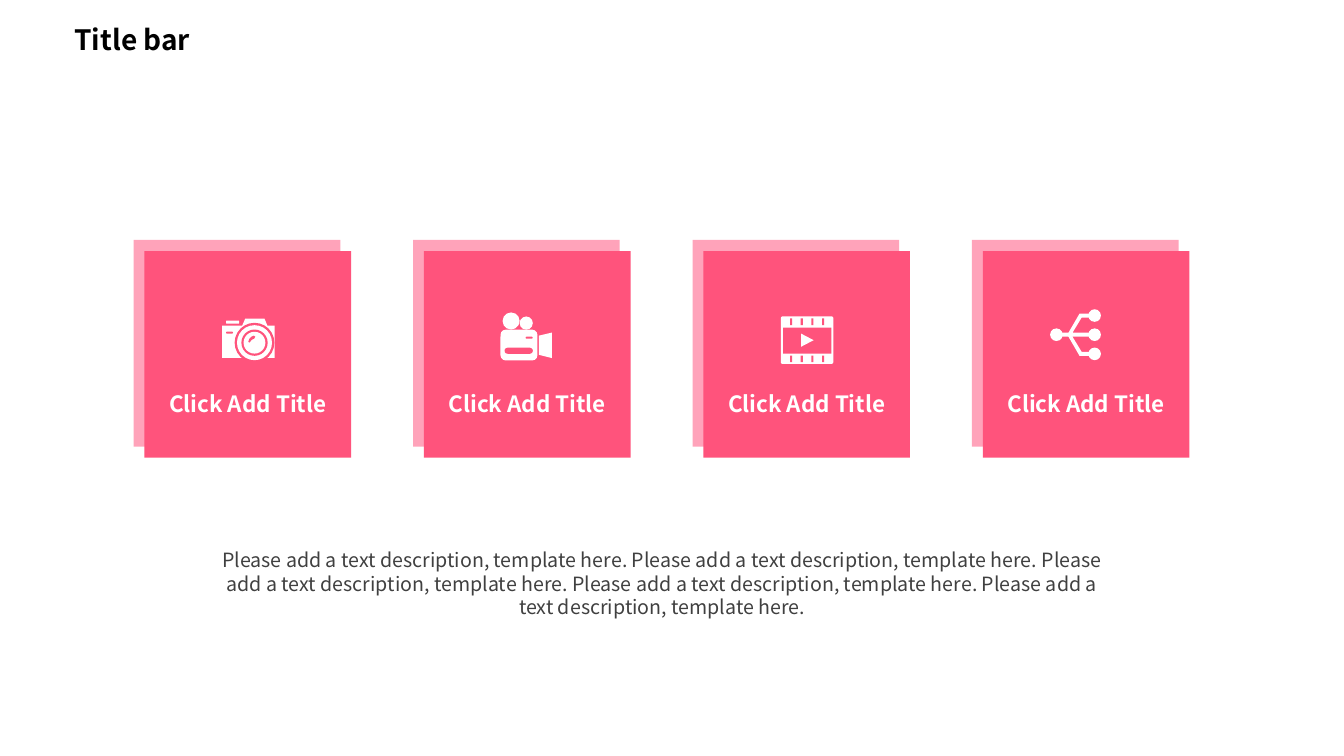
import pptx
import pptx.util
import pptx.dml.color
import pptx.enum.shapes
import pptx.enum.text

Pt = pptx.util.Pt
KIND = pptx.enum.shapes.MSO_SHAPE
ALIGN = pptx.enum.text.PP_ALIGN
ANCHOR = pptx.enum.text.MSO_ANCHOR

FONT = "Noto Sans CJK SC"
WHITE, PINK, PALE = "FFFFFF", "FF537C", "FFA3BA"
SIDE, TOP, LEFT, PITCH = 147.6, 179.3, 103.2, 199.6
NOTE = " ".join(["Please add a text description, template here."] * 5)


def color(code):
    return pptx.dml.color.RGBColor.from_string(code)


def paint(shape, code):
    shape.shadow.inherit = False
    shape.fill.solid()
    shape.fill.fore_color.rgb = color(code)
    shape.line.fill.background()


def add_form(slide, kind, x, y, wide, high, code, curve=None):
    """Add a preset shape; curve is the corner radius ratio."""
    form = slide.shapes.add_shape(kind, Pt(x), Pt(y), Pt(wide), Pt(high))
    paint(form, code)
    if curve is not None:
        form.adjustments[0] = curve


def add_disc(slide, x, y, radius, code):
    """Add a circle around the centre x, y."""
    add_form(slide, KIND.OVAL, x - radius, y - radius, 2 * radius, 2 * radius, code)


def add_poly(slide, x, y, points, code):
    """Add a closed outline with its points measured from x, y."""
    spots = [(Pt(x + across), Pt(y + down)) for across, down in points]
    maker = slide.shapes.build_freeform(*spots[0], scale=1.0)
    maker.add_line_segments(spots[1:], close=True)
    paint(maker.convert_to_shape(), code)


def add_text(slide, x, y, wide, high, text, size, code, bold=False,
             align=ALIGN.CENTER, anchor=ANCHOR.TOP):
    frame = slide.shapes.add_textbox(Pt(x), Pt(y), Pt(wide), Pt(high)).text_frame
    frame.word_wrap = True
    frame.vertical_anchor = anchor
    frame.text = text
    line = frame.paragraphs[0]
    line.alignment = align
    line.line_spacing = Pt(1.2 * size)
    font = line.runs[0].font
    font.name, font.size, font.bold = FONT, Pt(size), bold
    font.color.rgb = color(code)


def draw_photo(slide, x, y):
    """Draw a still camera on the card at x, y."""
    add_poly(slide, x, y, [
        (55.4, 53.3), (69.8, 53.3), (72, 48.2), (85.7, 48.2),
        (87.8, 53.3), (92.9, 53.3), (92.9, 76.3), (55.4, 76.3)], WHITE)
    add_form(slide, KIND.ROUNDED_RECTANGLE, x + 58.3, y + 49.7, 9.4, 2.2, WHITE, 0.3)
    add_form(slide, KIND.ROUNDED_RECTANGLE, x + 58.3, y + 57.6, 5, 1.4, PINK, 0.5)
    for radius, code in [(14.2, PINK), (12.5, WHITE), (9.4, PINK), (7.8, WHITE)]:
        add_disc(slide, x + 78.6, y + 65.5, radius, code)
    add_poly(slide, x, y, [
        (74.2, 64.8), (75, 62.6), (76.4, 61.2), (78.2, 60.5), (79.2, 61.2),
        (78.5, 62.6), (76.7, 63.4), (75.6, 64.8), (74.9, 65.5)], PINK)


def draw_video(slide, x, y):
    """Draw a film camera on the card at x, y."""
    for left, top, wide, high, code, curve in [
            (54.7, 56.2, 26.4, 22, WHITE, 0.17),
            (57.6, 69.1, 20.2, 4.3, PINK, 0.5),
            (72.7, 61.2, 5, 1.4, PINK, 0.5)]:
        add_form(slide, KIND.ROUNDED_RECTANGLE, x + left, y + top, wide, high, code, curve)
    add_disc(slide, x + 62.3, y + 50, 6.1, WHITE)
    add_disc(slide, x + 73.1, y + 51.5, 4.7, WHITE)
    add_poly(slide, x, y, [(82.1, 60.5), (91.4, 58.3), (91.4, 76.5), (82.1, 74.2)], WHITE)


def draw_film(slide, x, y):
    """Draw a film strip with a play mark on the card at x, y."""
    add_form(slide, KIND.ROUNDED_RECTANGLE, x + 55.4, y + 46.8, 37.4, 33.8, WHITE, 0.03)
    add_form(slide, KIND.RECTANGLE, x + 56.9, y + 54.7, 34.5, 18.7, PINK)
    for step in range(4):
        for top in (48.2, 74.7):
            add_form(slide, KIND.RECTANGLE, x + 61.9 + 7.65 * step, y + top, 1.5, 4.7, PINK)
    add_poly(slide, x, y, [(69.8, 59), (78.8, 63.7), (69.8, 68.4)], WHITE)


def draw_tree(slide, x, y):
    """Draw a node that branches into three on the card at x, y."""
    half = [(52.6, 1.45), (61.2, 1.45), (69.1, 15.1), (79.9, 15.1),
            (79.9, 12.2), (70.6, 12.2), (64.1, 1.45), (79.9, 1.45)]
    lower = [(across, 59.8 + down) for across, down in half]
    upper = [(across, 59.8 - down) for across, down in reversed(half)]
    add_poly(slide, x, y, lower + upper, WHITE)
    for across, down in [(52.6, 0), (79.9, -13.7), (79.9, 0), (79.9, 13.7)]:
        add_disc(slide, x + across, y + 59.8 + down, 4.5, WHITE)


def add_card(slide, x, draw):
    add_form(slide, KIND.RECTANGLE, x - 7.7, TOP - 7.9, SIDE, SIDE, PALE)
    add_form(slide, KIND.RECTANGLE, x, TOP, SIDE, SIDE, PINK)
    draw(slide, x, TOP)
    add_text(slide, x, 273.6, SIDE, 28.8, "Click Add Title", 16, WHITE,
             bold=True, anchor=ANCHOR.MIDDLE)


def main():
    deck = pptx.Presentation()
    deck.slide_width, deck.slide_height = Pt(960), Pt(540)
    slide = deck.slides.add_slide(deck.slide_layouts[6])
    add_text(slide, 46.1, 12.2, 137.5, 31.7, "Title bar", 20, "000000",
             bold=True, align=ALIGN.LEFT)
    for place, draw in enumerate([draw_photo, draw_video, draw_film, draw_tree]):
        add_card(slide, LEFT + place * PITCH, draw)
    add_text(slide, 146.9, 388.1, 652.3, 41.8, NOTE, 14, "404040")
    deck.save("out.pptx")


if __name__ == "__main__":
    main()
